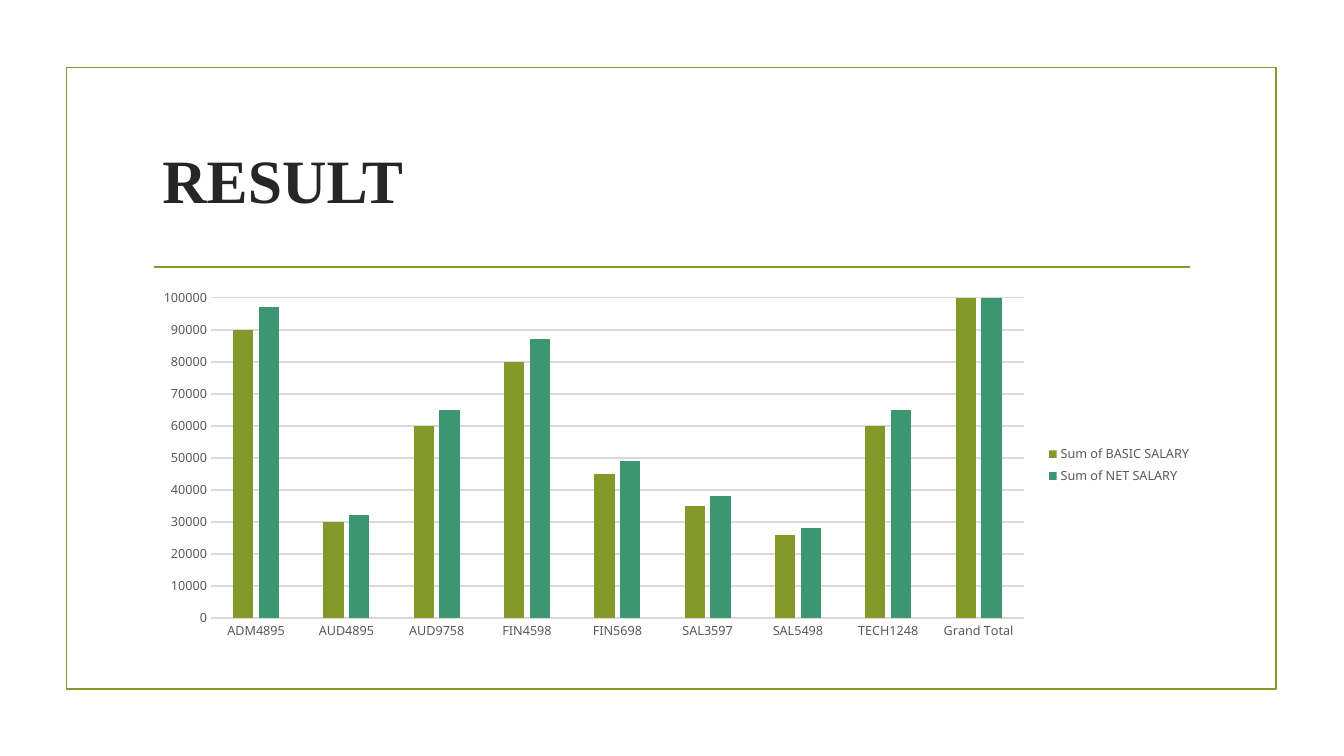
from lxml.etree import SubElement
from pptx import Presentation
from pptx.chart.data import CategoryChartData
from pptx.dml.color import RGBColor
from pptx.enum.chart import XL_CHART_TYPE as ChartType, XL_LEGEND_POSITION as LegendPosition
from pptx.enum.chart import XL_TICK_MARK as TickMark
from pptx.enum.shapes import MSO_CONNECTOR as Connector, MSO_SHAPE as Shape
from pptx.enum.text import MSO_ANCHOR as Anchor
from pptx.oxml.ns import qn
from pptx.util import Cm, Pt

HEADING = "RESULT"
EMPLOYEES = ["ADM4895", "AUD4895", "AUD9758", "FIN4598", "FIN5698",
             "SAL3597", "SAL5498", "TECH1248", "Grand Total"]
SALARIES = {
    "Sum of BASIC SALARY": [90000, 30000, 60000, 80000, 45000, 35000, 26000, 60000, 426000],
    "Sum of NET SALARY": [97000, 32000, 65000, 87000, 49000, 38000, 28000, 65000, 461000],
}
AXIS_TOP, AXIS_STEP = 100000, 10000
PLOT_AREA = {"x": 0.064, "y": 0.043, "w": 0.768, "h": 0.875}

THEME = {
    "accent": "83992A", "bars": ["83992A", "3C9770"], "heading": "262626",
    "label": "595959", "grid": "D9D9D9",
    "heading_font": "Times New Roman", "chart_font": "Noto Sans",
    "heading_size": 44, "label_size": 9, "rule": 1.25, "grid_line": 1,
}

SLIDE = (Cm(33.87), Cm(19.05))
FRAME = (Cm(1.68), Cm(1.7), Cm(30.48), Cm(15.67))
DIVIDER = (Cm(3.89), Cm(6.73), Cm(30), Cm(6.73))
HEADING_BOX = (Cm(3.84), Cm(2.69), Cm(26.67), Cm(3.63))
CHART_BOX = (Cm(3.61), Cm(7.11), Cm(26.67), Cm(9.22))


def style_font(font, *, name, size, color, bold=False):
    font.name, font.size, font.bold = name, Pt(size), bold
    font.color.rgb = RGBColor.from_string(color)


def style_line(line, color, width):
    line.color.rgb = RGBColor.from_string(color)
    line.width = Pt(width)


def add_text(slide, text, box, **font_format):
    frame = slide.shapes.add_textbox(*box).text_frame
    frame.word_wrap = True
    frame.vertical_anchor = Anchor.MIDDLE
    run = frame.paragraphs[0].add_run()
    run.text = text
    style_font(run.font, **font_format)


def add_border(slide):
    border = slide.shapes.add_shape(Shape.RECTANGLE, *FRAME)
    border.shadow.inherit = False
    border.fill.background()
    style_line(border.line, THEME["accent"], THEME["rule"])
    divider = slide.shapes.add_connector(Connector.STRAIGHT, *DIVIDER)
    style_line(divider.line, THEME["accent"], THEME["rule"])
    SubElement(divider.element.spPr, qn("a:effectLst"))


def place_plot(chart):
    plot_area = chart.element.find(".//" + qn("c:plotArea"))
    layout = plot_area.find(qn("c:layout"))
    if layout is None:
        layout = SubElement(plot_area, qn("c:layout"))
        plot_area.insert(0, layout)
    manual = SubElement(layout, qn("c:manualLayout"))
    settings = {"layoutTarget": "inner", "xMode": "edge", "yMode": "edge", **PLOT_AREA}
    for tag, value in settings.items():
        SubElement(manual, qn("c:" + tag)).set("val", str(value))


def add_salary_chart(slide):
    salaries = CategoryChartData(number_format="General")
    salaries.categories = EMPLOYEES
    for name, amounts in SALARIES.items():
        salaries.add_series(name, amounts)
    chart = slide.shapes.add_chart(ChartType.COLUMN_CLUSTERED, *CHART_BOX, salaries).chart
    chart.has_title = False
    label = {"name": THEME["chart_font"], "size": THEME["label_size"], "color": THEME["label"]}
    style_font(chart.font, **label)

    chart.has_legend = True
    chart.legend.position = LegendPosition.RIGHT
    chart.legend.include_in_layout = False
    style_font(chart.legend.font, **label)

    bars = chart.plots[0]
    bars.gap_width, bars.overlap, bars.vary_by_categories = 219, -27, False
    for series, color in zip(bars.series, THEME["bars"]):
        series.format.fill.solid()
        series.format.fill.fore_color.rgb = RGBColor.from_string(color)
        series.invert_if_negative = False

    employees, amounts = chart.category_axis, chart.value_axis
    for axis in (employees, amounts):
        axis.major_tick_mark = axis.minor_tick_mark = TickMark.NONE
        style_font(axis.tick_labels.font, **label)
    style_line(employees.format.line, THEME["grid"], THEME["grid_line"])
    amounts.minimum_scale, amounts.maximum_scale = 0, AXIS_TOP
    amounts.major_unit = AXIS_STEP
    amounts.format.line.fill.background()
    style_line(amounts.major_gridlines.format.line, THEME["grid"], THEME["grid_line"])
    place_plot(chart)


def main():
    deck = Presentation()
    deck.slide_width, deck.slide_height = SLIDE
    slide = deck.slides.add_slide(deck.slide_layouts[6])
    add_border(slide)
    add_text(slide, HEADING, HEADING_BOX, name=THEME["heading_font"],
             size=THEME["heading_size"], color=THEME["heading"], bold=True)
    add_salary_chart(slide)
    deck.save("out.pptx")


if __name__ == "__main__":
    main()
